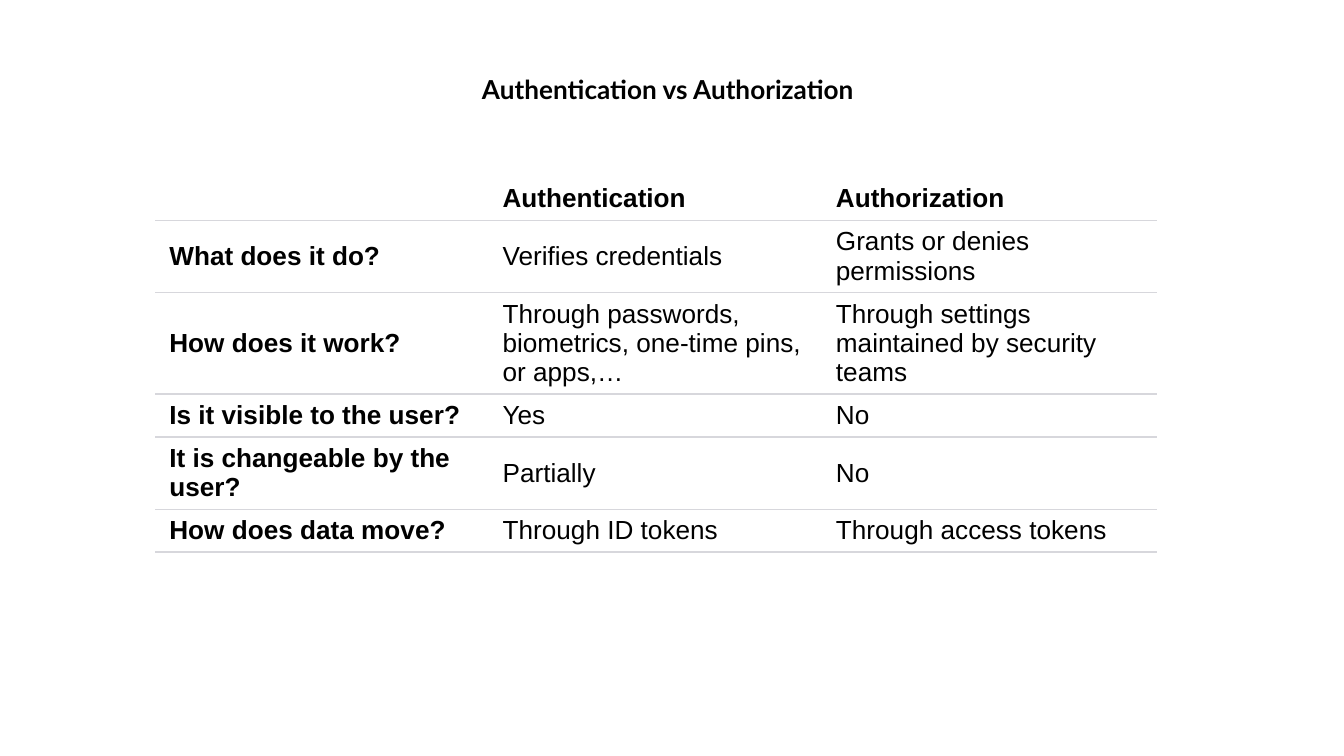
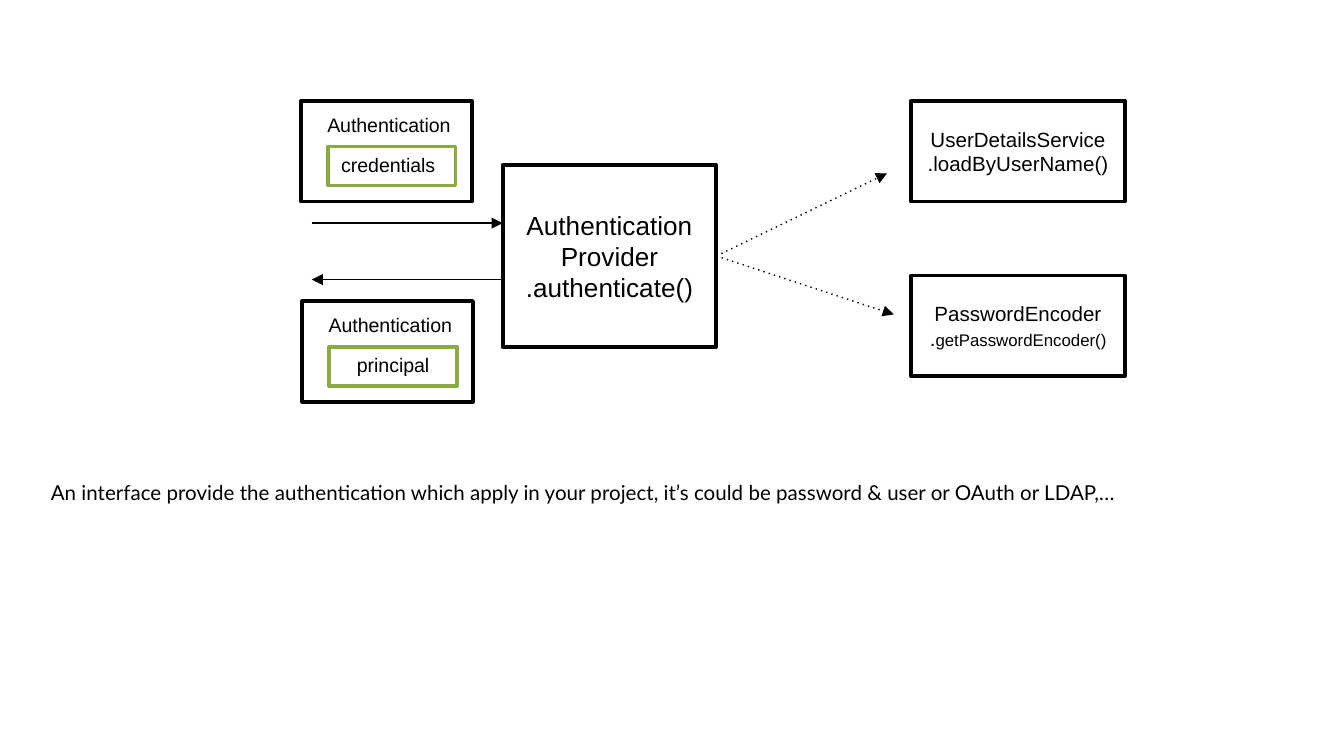
import pptx
import pptx.dml.color
import pptx.enum.shapes
import pptx.enum.text
import pptx.oxml.ns
import pptx.util
from lxml import etree

Inches = pptx.util.Inches
Pt = pptx.util.Pt
ALIGN = pptx.enum.text.PP_ALIGN
ANCHOR = pptx.enum.text.MSO_ANCHOR

BLACK, WHITE, GREEN, RULE = "000000", "FFFFFF", "8BAB42", "D7D7DC"
BODY_FONT, PROSE_FONT = "Arial", "Lato"
TITLE_ONLY, BLANK = 5, 6

COMPARISON = [
    ["", "Authentication", "Authorization"],
    ["What does it do?", "Verifies credentials", "Grants or denies permissions"],
    ["How does it work?", "Through passwords, biometrics, one-time pins, or apps,…",
     "Through settings maintained by security teams"],
    ["Is it visible to the user?", "Yes", "No"],
    ["It is changeable by the user?", "Partially", "No"],
    ["How does data move?", "Through ID tokens", "Through access tokens"],
]


def color(value):
    return pptx.dml.color.RGBColor.from_string(value)


def add_xml(parent, tag, **attributes):
    return etree.SubElement(parent, pptx.oxml.ns.qn(tag), **attributes)


def style_span(span, size, font=BODY_FONT, bold=False):
    span.font.size = Pt(size)
    span.font.name = font
    span.font.bold = bold
    span.font.color.rgb = color(BLACK)


def write(frame, text, size, align=ALIGN.CENTER, font=BODY_FONT, bold=False,
          anchor=ANCHOR.TOP, inset=0.05, spacing=None):
    """Fill a text frame; each line of text becomes a paragraph."""
    frame.text = text
    frame.word_wrap = True
    frame.auto_size = pptx.enum.text.MSO_AUTO_SIZE.NONE
    frame.vertical_anchor = anchor
    frame.margin_left = frame.margin_right = Inches(0.1)
    frame.margin_top = frame.margin_bottom = Inches(inset)
    for para in frame.paragraphs:
        para.alignment = align
        if spacing:
            para.line_spacing = spacing
        for span in para.runs:
            style_span(span, size, font, bold)


def place(shape, left, top, width, height):
    shape.left, shape.top = Inches(left), Inches(top)
    shape.width, shape.height = Inches(width), Inches(height)


def add_title(page, text):
    title = page.shapes.title
    place(title, 0.41, 0.33, 9.12, 3.59)
    write(title.text_frame, text, 14, font=PROSE_FONT, bold=True, inset=0.1, spacing=1.5)


def add_text(page, left, top, width, height, text, size, **style):
    box = page.shapes.add_textbox(Inches(left), Inches(top), Inches(width), Inches(height))
    write(box.text_frame, text, size, **style)


def add_box(page, left, top, width, height, text="", size=11, outline=BLACK, **style):
    box = page.shapes.add_shape(pptx.enum.shapes.MSO_SHAPE.RECTANGLE, Inches(left),
                                Inches(top), Inches(width), Inches(height))
    box.shadow.inherit = False
    box.fill.solid()
    box.fill.fore_color.rgb = color(WHITE)
    box.line.color.rgb = color(outline)
    box.line.width = Pt(2)
    if text:
        write(box.text_frame, text, size, **style)
    return box


def add_token(page, left, top, field, align):
    """Draw an Authentication card holding one green field."""
    add_box(page, left, top, 1.27, 0.75)
    add_box(page, left + 0.2, top + 0.34, 0.95, 0.29, field, 10.5, GREEN, align=align)
    add_text(page, left + 0.02, top + 0.04, 1.27, 0.28, "Authentication", 10.5)


def add_arrow(page, start, end, dotted=False):
    arrow = page.shapes.add_connector(pptx.enum.shapes.MSO_CONNECTOR.STRAIGHT,
                                      *(Inches(value) for value in start + end))
    arrow.line.color.rgb = color(BLACK)
    arrow.line.width = Pt(0.75)
    properties = arrow._element.spPr
    line = properties.find(pptx.oxml.ns.qn("a:ln"))
    if dotted:
        add_xml(line, "a:prstDash", val="dot")
    add_xml(line, "a:tailEnd", type="triangle")
    add_xml(properties, "a:effectLst")
    return arrow


def add_rules(cell, sides):
    """Draw cell borders; sides are border tags in schema order."""
    properties = cell._tc.get_or_add_tcPr()
    for position, side in enumerate(sides):
        border = etree.Element(pptx.oxml.ns.qn(side), w=str(Pt(0.75)))
        fill = add_xml(border, "a:solidFill")
        add_xml(fill, "a:srgbClr", val=RULE)
        properties.insert(position, border)


def add_comparison(page, rows):
    columns = len(rows[0])
    row_height, column_width = 0.19, 2.48
    table = page.shapes.add_table(
        len(rows), columns, Inches(1.16), Inches(1.32),
        Inches(column_width * columns), Inches(row_height * len(rows))).table
    table.first_row = table.horz_banding = False
    for column in table.columns:
        column.width = Inches(column_width)
    for r, texts in enumerate(rows):
        table.rows[r].height = Inches(row_height)
        for c, text in enumerate(texts):
            cell = table.cell(r, c)
            cell.fill.background()
            cell.vertical_anchor = ANCHOR.MIDDLE
            cell.margin_left = cell.margin_right = Inches(0.1)
            cell.margin_top = cell.margin_bottom = Inches(0.05 if text else 0)
            cell.text = text
            for span in cell.text_frame.paragraphs[0].runs:
                style_span(span, 14, bold=r == 0 or c == 0)
            add_rules(cell, ["a:lnT", "a:lnB"] if r else ["a:lnB"])


def build_comparison_page(deck):
    page = deck.slides.add_slide(deck.slide_layouts[TITLE_ONLY])
    add_title(page, "Authentication vs Authorization")
    add_comparison(page, COMPARISON)


def build_provider_page(deck):
    page = deck.slides.add_slide(deck.slide_layouts[BLANK])
    add_token(page, 2.24, 0.75, "credentials", ALIGN.LEFT)
    add_token(page, 2.25, 2.24, "principal", ALIGN.CENTER)
    provider = add_box(page, 3.74, 1.23, 1.59, 1.35,
                       "Authentication\nProvider\n.authenticate()", 14, anchor=ANCHOR.MIDDLE)
    add_box(page, 6.78, 0.75, 1.59, 0.75, "UserDetailsService\n.loadByUserName()",
            anchor=ANCHOR.MIDDLE)
    encoder = add_box(page, 6.78, 2.05, 1.59, 0.75, "PasswordEncoder\n.", anchor=ANCHOR.MIDDLE)
    method = encoder.text_frame.paragraphs[1].add_run()
    method.text = "getPasswordEncoder()"
    style_span(method, 9)

    add_arrow(page, (2.32, 1.66), (3.74, 1.66))
    add_arrow(page, (3.74, 2.08), (2.32, 2.08))
    for target in [(6.6, 1.29), (6.65, 2.34)]:
        arrow = add_arrow(page, (5.33, 1.9), target, dotted=True)
        arrow.begin_connect(provider, 3)

    add_text(page, 0.28, 3.38, 9.12, 0.65,
             "An interface provide the authentication which apply in your project, "
             "it’s could be password & user or OAuth or LDAP,…",
             11, align=ALIGN.JUSTIFY, font=PROSE_FONT, inset=0.1, spacing=1.5)


def main():
    deck = pptx.Presentation()
    deck.slide_width = Inches(10)
    deck.slide_height = deck.slide_width * 9 // 16
    build_comparison_page(deck)
    build_provider_page(deck)
    deck.save("out.pptx")


if __name__ == "__main__":
    main()
